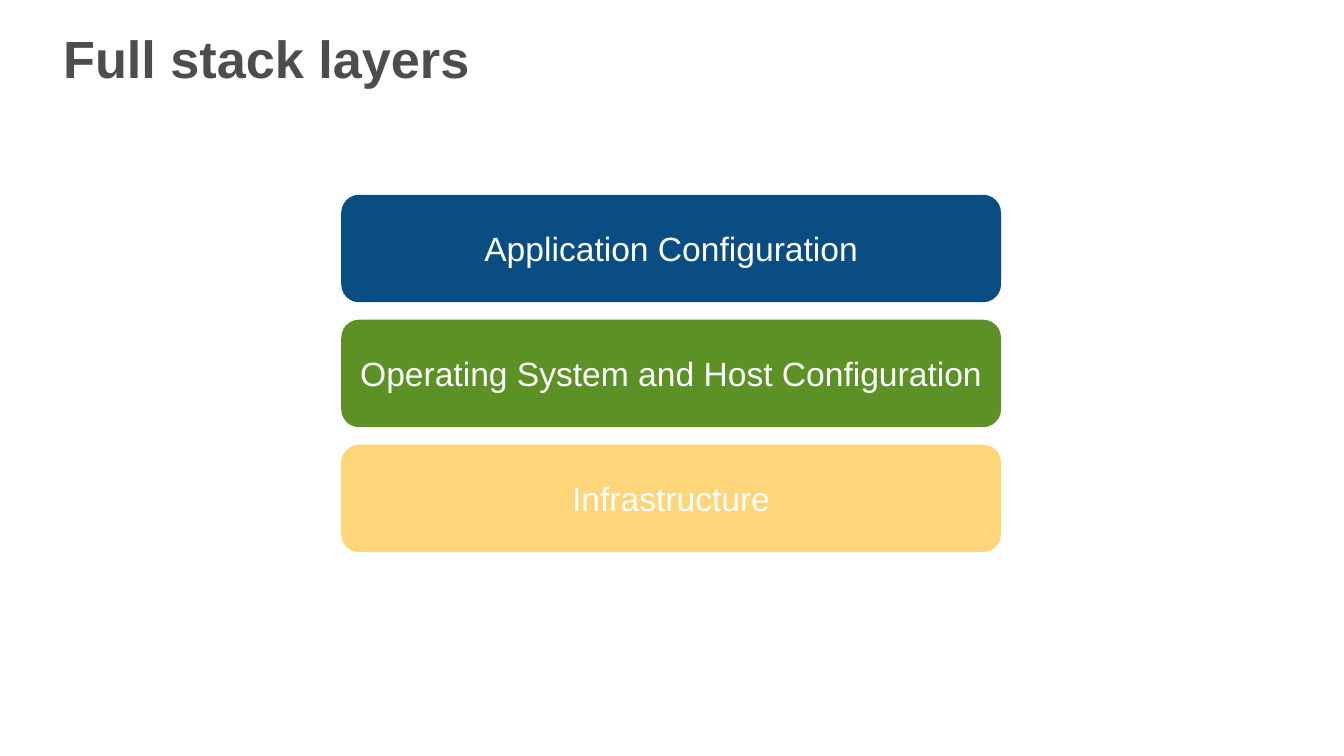
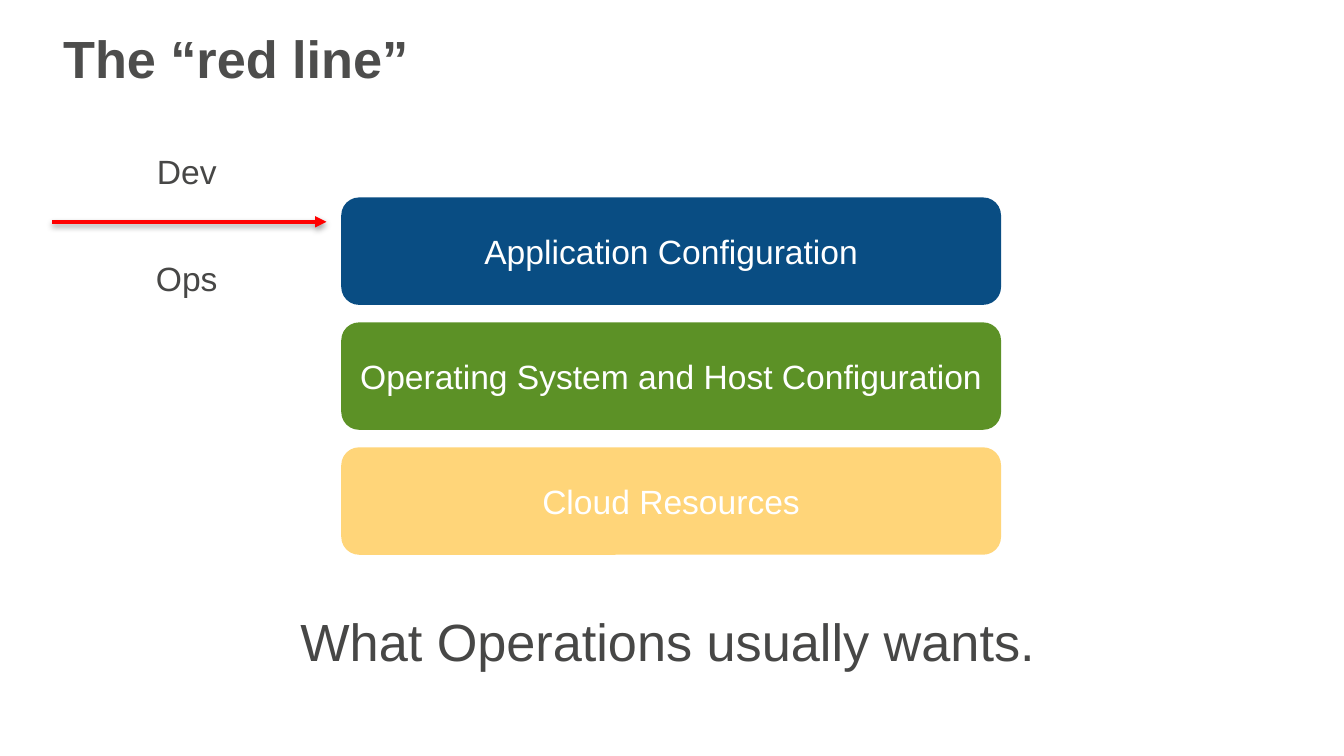
from lxml import etree
from pptx import Presentation
from pptx.dml.color import RGBColor
from pptx.enum.shapes import MSO_CONNECTOR, MSO_SHAPE
from pptx.enum.text import MSO_ANCHOR, PP_ALIGN
from pptx.oxml import parse_xml
from pptx.oxml.ns import nsdecls, qn
from pptx.util import Cm, Pt

ROUND = MSO_SHAPE.ROUNDED_RECTANGLE
STRAIGHT = MSO_CONNECTOR.STRAIGHT
MIDDLE = MSO_ANCHOR.MIDDLE
LEFT = PP_ALIGN.LEFT
CENTER = PP_ALIGN.CENTER

FONT = "Arial"
TITLE = "4D4D4C"
INK = "474746"
WHITE = "FFFFFF"
RED = "FF0000"
LAYERS = ("094D83", "5C9126", "FFD579")

BAR_LEFT, BAR_WIDTH, BAR_HEIGHT, BAR_STEP = 6.45, 12.47, 2.03, 2.36

SHADOW = (
    f'<a:effectLst {nsdecls("a")}>'
    '<a:outerShdw blurRad="40000" dist="20000" dir="5400000" rotWithShape="0">'
    '<a:srgbClr val="000000"><a:alpha val="38000"/></a:srgbClr>'
    '</a:outerShdw></a:effectLst>'
)


def color(code):
    return RGBColor.from_string(code)


def write(shape, text, size, code, align=CENTER, bold=False):
    frame = shape.text_frame
    frame.word_wrap = True
    frame.text = text
    para = frame.paragraphs[0]
    para.alignment = align
    font = para.runs[0].font
    font.name = FONT
    font.size = Pt(size)
    font.bold = bold
    font.color.rgb = color(code)


def add_slide(deck, text):
    slide = deck.slides.add_slide(deck.slide_layouts[5])
    title = slide.shapes.title
    title.left, title.top = Cm(0.94), Cm(0.33)
    title.width, title.height = Cm(22.78), Cm(1.52)
    write(title, text, 28, TITLE, LEFT, True)
    title.text_frame.vertical_anchor = MIDDLE
    return slide


def add_stack(slide, top, names):
    group = slide.shapes.add_group_shape()
    for row, (name, code) in enumerate(zip(names, LAYERS)):
        bar = group.shapes.add_shape(
            ROUND, Cm(BAR_LEFT), Cm(top + row * BAR_STEP),
            Cm(BAR_WIDTH), Cm(BAR_HEIGHT))
        bar.shadow.inherit = False
        bar.fill.solid()
        bar.fill.fore_color.rgb = color(code)
        bar.line.fill.background()
        write(bar, name, 18, WHITE)
        bar.text_frame.vertical_anchor = MIDDLE


def add_label(slide, text, left, top, width, height, size):
    box = slide.shapes.add_textbox(Cm(left), Cm(top), Cm(width), Cm(height))
    write(box, text, size, INK)


def add_arrow(slide, start, end, y):
    arrow = slide.shapes.add_connector(
        STRAIGHT, Cm(start), Cm(y), Cm(end), Cm(y))
    arrow.line.color.rgb = color(RED)
    arrow.line.width = Pt(2)
    props = arrow.line._get_or_add_ln()
    etree.SubElement(props, qn("a:tailEnd"), type="triangle")
    arrow._element.spPr.append(parse_xml(SHADOW))


def main():
    deck = Presentation()
    deck.slide_width, deck.slide_height = Cm(25.4), Cm(14.28)
    upper = ("Application Configuration",
             "Operating System and Host Configuration")

    slide = add_slide(deck, "Full stack layers")
    add_stack(slide, 3.68, (*upper, "Infrastructure"))

    slide = add_slide(deck, "The “red line”")
    add_stack(slide, 3.73, (*upper, "Cloud Resources"))
    add_arrow(slide, 0.99, 6.17, 4.19)
    for text, top in (("Dev", 2.72), ("Ops", 4.75)):
        add_label(slide, text, 1.27, top, 4.52, 1.02, 18)
    add_label(slide, "What Operations usually wants.", 5.2, 11.38, 14.83, 2.64, 28)

    deck.save("out.pptx")


if __name__ == "__main__":
    main()
